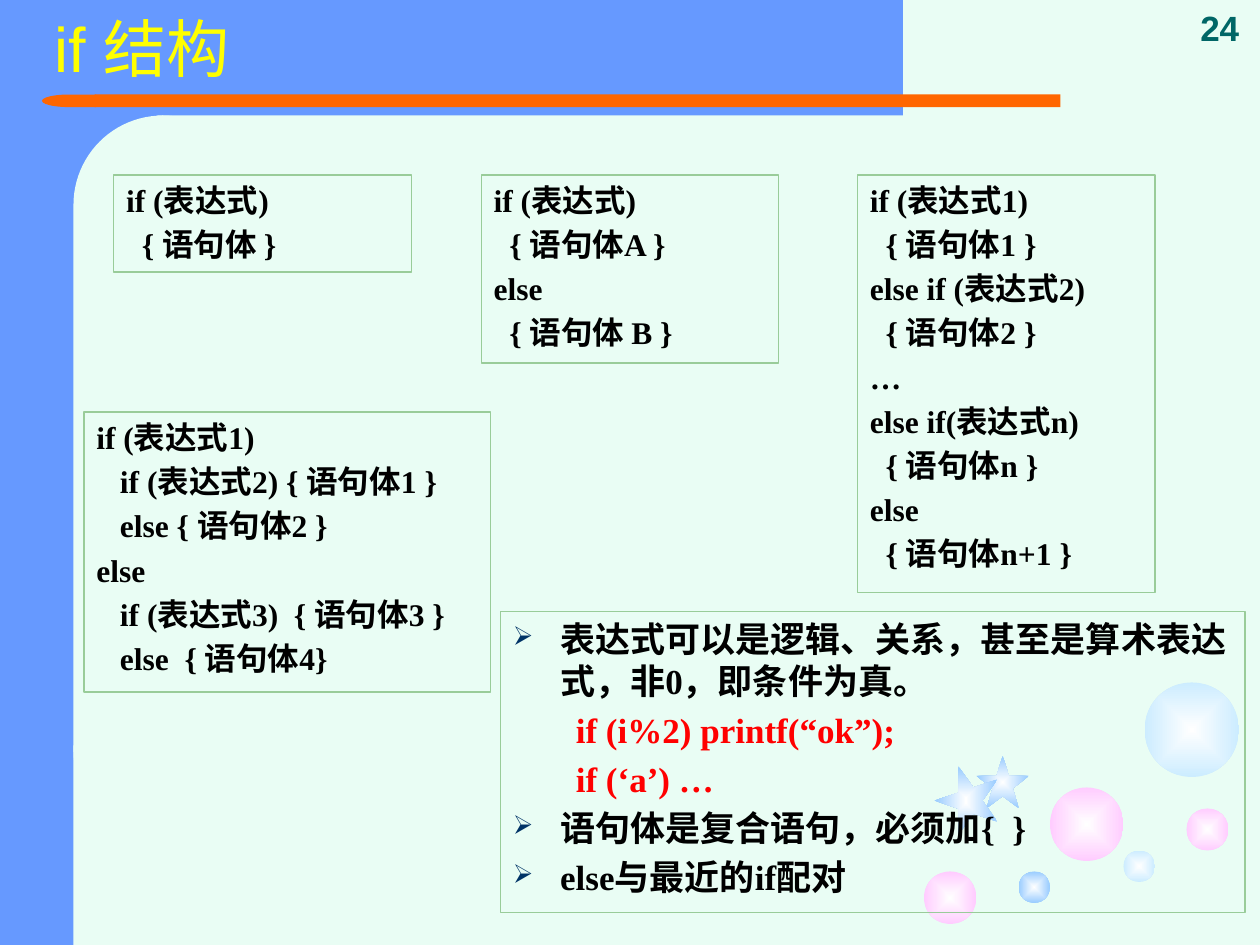
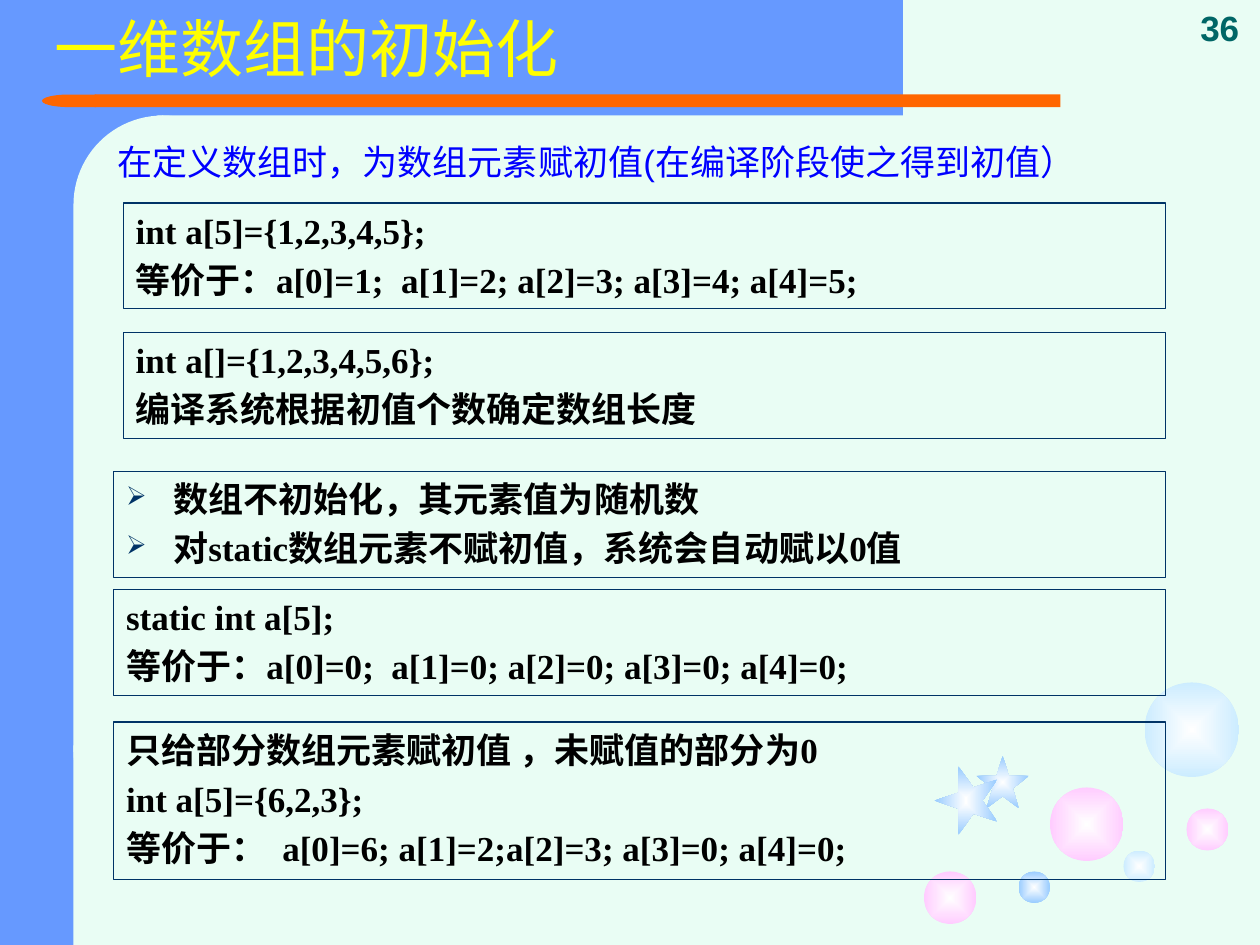
"""Build two lecture slides on the C if statement and array initialisation."""
from math import cos, pi, sin

from lxml.etree import SubElement
from pptx import Presentation
from pptx.dml.color import RGBColor
from pptx.enum.shapes import MSO_SHAPE
from pptx.enum.text import MSO_ANCHOR, MSO_AUTO_SIZE, PP_ALIGN
from pptx.oxml.ns import qn
from pptx.util import Pt

COLORS = {
    "paper": "E9FDF4", "band": "6699FF", "rule": "FF6600", "title": "FFFF00",
    "number": "006666", "lead": "0000FF", "text": "000000", "sample": "FF0000",
    "green": "99CC99", "navy": "003366", "white": "FFFFFF",
    "pink": "FFCCFF", "pale": "CCECFF", "sky": "99CCFF",
}
HEAD_FONT, BODY_FONT = "Arial", "Times New Roman"
TITLE_AREA = (24, 0, 606, 60)
NUMBER_AREA = (674, 0, 46, 31)
LEAD_AREA = (60, 77, 628, 40)
SPACE_WIDTH = 0.25

BANDS = [
    (MSO_SHAPE.RECTANGLE, (0, 0, 90, 540), "band", {}),
    (MSO_SHAPE.RECTANGLE, (36, 0, 480, 66), "band", {}),
    (MSO_SHAPE.ROUNDED_RECTANGLE, (42, 66, 102, 414), "paper", {"adjust": 0.5}),
    (MSO_SHAPE.ROUNDED_RECTANGLE, (54, 54, 552, 7.2), "rule", {"adjust": 0}),
    (MSO_SHAPE.FLOWCHART_DELAY, (24, 54, 31, 7.2), "rule", {"rotation": 180}),
    (MSO_SHAPE.RECTANGLE, (42, 426, 102, 114), "paper", {}),
]
BUBBLES = [
    (600, 450, 42, "pink"), (528, 498, 30, "pink"), (642, 486, 18, "pale"),
    (678, 462, 24, "pink"), (654, 390, 54, "pale"), (582, 498, 18, "sky"),
]
STARS = [((558, 432, 30, 30), False), ((534, 438, 36, 39), True)]

LINE_STYLES = {
    "code": {"margin": 0, "indent": 0, "color": "text"},
    "bullet": {"margin": 27, "indent": -27, "color": "text"},
    "sample": {"margin": 36, "indent": 0, "color": "sample"},
}

SLIDES = [
    {
        "title": "if 结构", "number": "24", "outline": "green",
        "boxes": [
            ((65, 100, 170, 55.5), 18, [
                ("code", "if (表达式)"),
                ("code", "  { 语句体 }")]),
            ((275, 100, 170, 107.5), 18, [
                ("code", "if (表达式)"),
                ("code", "  { 语句体A }"),
                ("code", "else "),
                ("code", "  { 语句体 B }")]),
            ((490, 100, 170, 238.5), 18, [
                ("code", "if (表达式1)"),
                ("code", "  { 语句体1 }"),
                ("code", "else if (表达式2)"),
                ("code", "  { 语句体2 }"),
                ("code", "…"),
                ("code", "else if(表达式n)"),
                ("code", "  { 语句体n }"),
                ("code", "else"),
                ("code", "  { 语句体n+1 }")]),
            ((48, 235.5, 232.5, 160), 18, [
                ("code", "if (表达式1)"),
                ("code", "   if (表达式2) { 语句体1 }"),
                ("code", "   else { 语句体2 }"),
                ("code", "else"),
                ("code", "   if (表达式3)  { 语句体3 }"),
                ("code", "   else  { 语句体4}")]),
            ((286, 349.5, 425.5, 172), 20, [
                ("bullet", "表达式可以是逻辑、关系，甚至是算术表达式，非0，即条件为真。"),
                ("sample", "if (i%2) printf(“ok”);"),
                ("sample", "if (‘a’) …"),
                ("bullet", "语句体是复合语句，必须加{  }"),
                ("bullet", "else与最近的if配对")]),
        ],
    },
    {
        "title": "一维数组的初始化", "number": "36", "outline": "navy",
        "lead": "在定义数组时，为数组元素赋初值(在编译阶段使之得到初值）",
        "boxes": [
            ((70.5, 116, 595.5, 60.5), 20, [
                ("code", "int a[5]={1,2,3,4,5};"),
                ("code", "等价于：a[0]=1;  a[1]=2; a[2]=3; a[3]=4; a[4]=5;")]),
            ((70.5, 190, 595.5, 60.5), 20, [
                ("code", "int a[]={1,2,3,4,5,6};"),
                ("code", "编译系统根据初值个数确定数组长度")]),
            ((65, 269.5, 601, 60.5), 20, [
                ("bullet", "数组不初始化，其元素值为随机数"),
                ("bullet", "对static数组元素不赋初值，系统会自动赋以0值")]),
            ((65, 337, 601, 60.5), 20, [
                ("code", "static int a[5];"),
                ("code", "等价于：a[0]=0;  a[1]=0; a[2]=0; a[3]=0; a[4]=0;")]),
            ((65, 412.5, 601, 90), 20, [
                ("code", "只给部分数组元素赋初值 ，未赋值的部分为0"),
                ("code", "int a[5]={6,2,3};"),
                ("code", "等价于：  a[0]=6; a[1]=2;a[2]=3; a[3]=0; a[4]=0;")]),
        ],
    },
]


def rgb(name):
    """Return the named colour."""
    return RGBColor.from_string(COLORS[name])


def apply(target, values):
    """Set every attribute in values on target."""
    for name, value in values.items():
        setattr(target, name, value)


def place(shape, area):
    """Move and size a shape."""
    apply(shape, dict(zip(("left", "top", "width", "height"), map(Pt, area))))


def add_plain(page, kind, area):
    """Add a preset shape without fill, line or shadow."""
    shape = page.shapes.add_shape(kind, *map(Pt, area))
    shape.shadow.inherit = False
    shape.fill.background()
    shape.line.fill.background()
    return shape


def glow(shape, color, focus):
    """Fill a shape with a gradient that is white in its centre."""
    shape.fill.gradient()
    for stop, name in zip(shape.fill.gradient_stops, ("white", color)):
        stop.color.rgb = rgb(name)
    gradient = shape.element.spPr.find(qn("a:gradFill"))
    gradient.remove(gradient.find(qn("a:lin")))
    center = SubElement(gradient, qn("a:path"), {"path": focus})
    SubElement(center, qn("a:fillToRect"), {side: "50000" for side in "ltrb"})


def add_star(page, area, turned):
    """Draw a five-pointed star that fills an area."""
    left, top, width, height = area
    points = []
    for step in range(10):
        radius = 0.382 if step % 2 else 1
        angle = step * pi / 5 - pi / 2
        x, y = radius * cos(angle), radius * sin(angle)
        points.append((y, -x) if turned else (x, y))
    columns, rows = zip(*points)

    def fit(value, values, start, size):
        return Pt(start + size * (value - min(values)) / (max(values) - min(values)))

    corners = [(fit(x, columns, left, width), fit(y, rows, top, height)) for x, y in points]
    builder = page.shapes.build_freeform(*corners[0], scale=1.0)
    builder.add_line_segments(corners[1:], close=True)
    star = builder.convert_to_shape()
    star.shadow.inherit = False
    star.line.fill.background()
    glow(star, "sky", "rect")


def draw_backdrop(page):
    """Draw the bands, bubbles and stars and hand them to the layout."""
    before = len(page.shapes)
    for kind, area, color, extras in BANDS:
        band = add_plain(page, kind, area)
        band.fill.solid()
        band.fill.fore_color.rgb = rgb(color)
        band.rotation = extras.get("rotation", 0)
        if "adjust" in extras:
            band.adjustments[0] = extras["adjust"]
    for left, top, size, color in BUBBLES:
        glow(add_plain(page, MSO_SHAPE.OVAL, (left, top, size, size)), color, "shape")
    for area, turned in STARS:
        add_star(page, area, turned)
    for shape in list(page.shapes)[before:]:
        page.slide_layout.shapes.element.append(shape.element)


def write(para, text, font, size, color, bold):
    """Write one formatted run."""
    span = para.add_run()
    span.text = text
    apply(span.font, {"name": font, "size": Pt(size), "bold": bold})
    span.font.color.rgb = rgb(color)


def space_before(properties):
    """Put a fifth of a line before a paragraph."""
    gap = SubElement(properties, qn("a:spcBef"))
    SubElement(gap, qn("a:spcPct"), {"val": "20000"})


def write_line(para, style_name, text, size):
    """Write one line, with leading spaces turned into an indent."""
    style = LINE_STYLES[style_name]
    code = text.lstrip()
    margin = style["margin"] + (len(text) - len(code)) * size * SPACE_WIDTH
    para.alignment = PP_ALIGN.LEFT
    properties = para._p.get_or_add_pPr()
    properties.set("marL", str(Pt(margin)))
    properties.set("indent", str(Pt(style["indent"])))
    space_before(properties)
    if style_name == "bullet":
        tint = SubElement(properties, qn("a:buClr"))
        SubElement(tint, qn("a:srgbClr"), {"val": COLORS["navy"]})
        SubElement(properties, qn("a:buSzPct"), {"val": "75000"})
        SubElement(properties, qn("a:buChar"), {"char": "➢"})
    write(para, code, BODY_FONT, size, style["color"], True)


def add_box(page, area, size, lines, outline):
    """Add an outlined box of lines."""
    box = add_plain(page, MSO_SHAPE.RECTANGLE, area)
    box.line.color.rgb = rgb(outline)
    box.line.width = Pt(0.75)
    frame = box.text_frame
    apply(frame, {"word_wrap": True, "vertical_anchor": MSO_ANCHOR.TOP,
                  "auto_size": MSO_AUTO_SIZE.SHAPE_TO_FIT_TEXT})
    for index, (style_name, text) in enumerate(lines):
        para = frame.add_paragraph() if index else frame.paragraphs[0]
        write_line(para, style_name, text, size)


def add_label(page, area, text, color, bold, anchor, align):
    """Add a single-line text box in the heading font."""
    box = page.shapes.add_textbox(*map(Pt, area))
    apply(box.text_frame, {"word_wrap": True, "vertical_anchor": anchor})
    para = box.text_frame.paragraphs[0]
    para.alignment = align
    write(para, text, HEAD_FONT, 20, color, bold)
    return para


def add_title(page, text):
    """Place and format the title placeholder."""
    title = page.shapes.title
    place(title, TITLE_AREA)
    apply(title.text_frame, {"word_wrap": True, "auto_size": MSO_AUTO_SIZE.NONE,
                             "vertical_anchor": MSO_ANCHOR.MIDDLE})
    para = title.text_frame.paragraphs[0]
    apply(para, {"alignment": PP_ALIGN.LEFT, "line_spacing": 0.9})
    write(para, text, HEAD_FONT, 36, "title", False)


deck = Presentation()
apply(deck, {"slide_width": Pt(720), "slide_height": Pt(540)})
layout = deck.slide_layouts[5]
layout.background.fill.solid()
layout.background.fill.fore_color.rgb = rgb("paper")
for position, content in enumerate(SLIDES):
    page = deck.slides.add_slide(layout)
    if position == 0:
        draw_backdrop(page)
    add_title(page, content["title"])
    if "lead" in content:
        lead = add_label(page, LEAD_AREA, content["lead"], "lead", False,
                         MSO_ANCHOR.TOP, PP_ALIGN.LEFT)
        space_before(lead._p.get_or_add_pPr())
    add_label(page, NUMBER_AREA, content["number"], "number", True,
              MSO_ANCHOR.BOTTOM, PP_ALIGN.CENTER)
    for area, size, lines in content["boxes"]:
        add_box(page, area, size, lines, content["outline"])
deck.save("out.pptx")
